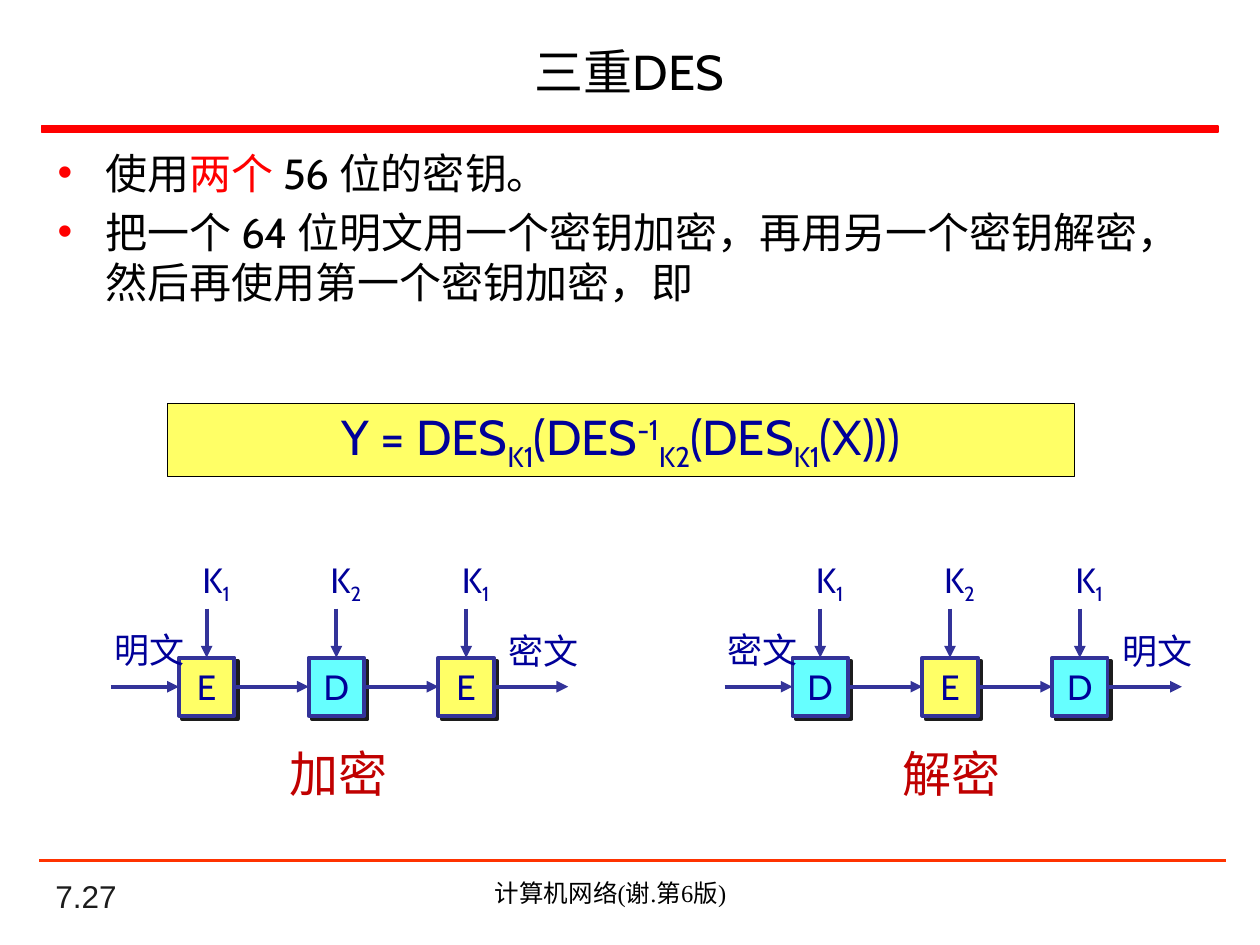
from dataclasses import dataclass
from typing import NamedTuple

from lxml.etree import SubElement
from pptx import Presentation
from pptx.dml.color import RGBColor
from pptx.enum.shapes import MSO_CONNECTOR as Conn, MSO_SHAPE as Shape
from pptx.enum.text import MSO_ANCHOR as Anchor, MSO_AUTO_SIZE as AutoSize, PP_ALIGN as Align
from pptx.oxml.ns import qn
from pptx.util import Inches, Pt

TOP, LEFT, BOTTOM, RIGHT = range(4)


@dataclass(frozen=True)
class Theme:
    font: str = "Cabin"
    number_font: str = "Arial"
    footer_font: str = "Times New Roman"
    black: str = "000000"
    dark: str = "1C1C1C"
    red: str = "FF0000"
    footer_rule: str = "FF3300"
    caption: str = "C00000"
    navy: str = "000099"
    line: str = "333399"
    yellow: str = "FFFF66"
    cyan: str = "66FFFF"
    large: int = 28
    body: int = 24
    label: int = 20
    number: int = 18
    footer: int = 14


T = Theme()


class Part(NamedTuple):
    text: str
    baseline: int = 0  # percent; negative is subscript
    color: str = ""


class Box(NamedTuple):
    x: float
    y: float
    w: float
    h: float

    def inches(self):
        return [Inches(v) for v in self]


@dataclass(frozen=True)
class Pipeline:
    x: float
    stages: str
    source: str
    result: str
    caption: str


KEYS = "121"
STAGE_W, STAGE_H, PITCH = 0.44, 0.46, 1.03
STAGE_Y, KEY_Y = 5.22, 4.83
STAGE_FILL = {"E": T.yellow, "D": T.cyan}
PIPELINES = [
    Pipeline(1.42, "EDE", "明文", "密文", "加密"),
    Pipeline(6.29, "DED", "密文", "明文", "解密"),
]


def rgb(value: str) -> RGBColor:
    return RGBColor.from_string(value)


def write(p, parts: list[Part], size: int, color: str, font: str = T.font) -> None:
    for part in parts:
        r = p.add_run()
        r.text = part.text
        r.font.name, r.font.size = font, Pt(size)
        r.font.color.rgb = rgb(part.color or color)
        if part.baseline:
            r.font._element.set("baseline", str(part.baseline * 1000))


def add_text(s, box: Box, parts: list[Part], size: int, color: str, font: str = T.font,
             align=Align.CENTER, anchor=Anchor.TOP, wrap: bool = True) -> None:
    tf = s.shapes.add_textbox(*box.inches()).text_frame
    tf.word_wrap = wrap
    tf.auto_size = AutoSize.NONE if wrap else AutoSize.SHAPE_TO_FIT_TEXT
    tf.vertical_anchor = anchor
    tf.paragraphs[0].alignment = align
    write(tf.paragraphs[0], parts, size, color, font)


def add_rect(s, box: Box, fill: str, line: str, width: float):
    sp = s.shapes.add_shape(Shape.RECTANGLE, *box.inches())
    sp.shadow.inherit = False
    sp.fill.solid()
    sp.fill.fore_color.rgb = rgb(fill)
    sp.line.color.rgb, sp.line.width = rgb(line), Pt(width)
    return sp


def add_rect_text(sp, parts: list[Part], size: int, wrap: bool = True) -> None:
    tf = sp.text_frame
    tf.word_wrap, tf.vertical_anchor = wrap, Anchor.MIDDLE
    tf.paragraphs[0].alignment = Align.CENTER
    write(tf.paragraphs[0], parts, size, T.navy)


def add_hard_shadow(sp) -> None:
    """Give the shape an unblurred shadow down and to the right."""
    effects = sp._element.spPr.find(qn("a:effectLst"))
    shadow = SubElement(effects, qn("a:outerShdw"), dist=str(Pt(2.8)), dir="2700000",
                        algn="ctr", rotWithShape="0")
    SubElement(shadow, qn("a:srgbClr"), val=T.dark)


def add_line(s, x1: float, y1: float, x2: float, y2: float, color: str, width: float):
    c = s.shapes.add_connector(Conn.STRAIGHT, *(Inches(v) for v in (x1, y1, x2, y2)))
    c.line.color.rgb, c.line.width = rgb(color), Pt(width)
    SubElement(c._element.spPr, qn("a:effectLst"))
    return c


def add_arrow(s, x1: float, y1: float, x2: float, y2: float, start=None, end=None) -> None:
    """Draw an arrow; start and end are optional (shape, side) joints."""
    c = add_line(s, x1, y1, x2, y2, T.line, 2.25)
    SubElement(c.line._get_or_add_ln(), qn("a:tailEnd"), type="triangle")
    if start:
        c.begin_connect(*start)
    if end:
        c.end_connect(*end)


def add_label(s, box: Box, parts: list[Part], size: int = T.label, color: str = T.navy) -> None:
    add_text(s, box, parts, size, color, wrap=False)


def add_pipeline(s, d: Pipeline) -> None:
    mid_y = STAGE_Y + STAGE_H / 2
    previous = None
    for i, (stage, key) in enumerate(zip(d.stages, KEYS)):
        x = d.x + i * PITCH
        mid_x = x + STAGE_W / 2
        sp = add_rect(s, Box(x, STAGE_Y, STAGE_W, STAGE_H), STAGE_FILL[stage], T.line, 2.25)
        add_hard_shadow(sp)
        add_rect_text(sp, [Part(stage)], T.label, wrap=False)
        in_x = x - PITCH + STAGE_W if previous else x - 0.54
        add_arrow(s, in_x, mid_y, x, mid_y, (previous, RIGHT) if previous else None, (sp, LEFT))
        add_arrow(s, mid_x, KEY_Y, mid_x, STAGE_Y, end=(sp, TOP))
        add_label(s, Box(mid_x - 0.16, 4.38, 0.47, 0.44), [Part("K"), Part(key, -25)])
        previous = sp
    out_x = d.x + 2 * PITCH + STAGE_W
    add_arrow(s, out_x, mid_y, out_x + 0.59, mid_y, (previous, RIGHT))
    add_label(s, Box(d.x - 0.62, 4.94, 0.77, 0.44), [Part(d.source)])
    add_label(s, Box(out_x + 0.01, 4.95, 0.77, 0.44), [Part(d.result)])
    add_label(s, Box(d.x + 0.77, 5.85, 0.99, 0.57), [Part(d.caption)], T.large, T.caption)


def add_bullets(s, box: Box, items: list[list[Part]]) -> None:
    tf = s.shapes.add_textbox(*box.inches()).text_frame
    tf.word_wrap = True
    for i, parts in enumerate(items):
        p = tf.add_paragraph() if i else tf.paragraphs[0]
        pPr = p._p.get_or_add_pPr()
        pPr.set("marL", str(Inches(0.38)))
        pPr.set("indent", str(-Inches(0.38)))
        if i:
            p.space_before = Pt(4.8)
        SubElement(SubElement(pPr, qn("a:buClr")), qn("a:srgbClr"), val=T.red)
        SubElement(pPr, qn("a:buFont"), typeface="Arial")
        SubElement(pPr, qn("a:buChar"), char="•")
        write(p, parts, T.body, T.black)


def main() -> None:
    prs = Presentation()
    prs.slide_width, prs.slide_height = Inches(10), Inches(7.5)
    s = prs.slides.add_slide(prs.slide_layouts[6])

    add_text(s, Box(0.34, 6.98, 2.08, 0.33), [Part("7.27")], T.number, T.dark,
             T.number_font, Align.LEFT, Anchor.BOTTOM)
    add_rect(s, Box(0.33, 1, 9.34, 0.05), T.red, T.red, 1)
    add_line(s, 0.31, 6.83, 9.73, 6.83, T.footer_rule, 1.5)
    add_text(s, Box(2.83, 6.92, 4.08, 0.34), [Part("计算机网络(谢.第6版) ")], T.footer, T.black,
             T.footer_font)
    add_text(s, Box(0.39, 0.22, 9.21, 0.69), [Part("三重DES")], T.large, T.black,
             anchor=Anchor.MIDDLE)
    add_bullets(s, Box(0.36, 1.12, 9.28, 5.63), [
        [Part("使用"), Part("两个 ", color=T.red), Part("56 位的密钥。")],
        [Part("把一个 64 位明文用一个密钥加密，再用另一个密钥解密，然后再使用第一个密钥加密，即")],
    ])
    for pipeline in PIPELINES:
        add_pipeline(s, pipeline)

    formula = add_rect(s, Box(1.33, 3.2, 7.2, 0.58), T.yellow, T.black, 0.75)
    add_rect_text(formula, [
        Part("Y = DES"), Part("K1", -25), Part("(DES"), Part("-1", 30), Part("K2", -25),
        Part("(DES"), Part("K1", -25), Part("(X)))"),
    ], T.large)
    prs.save("out.pptx")


if __name__ == "__main__":
    main()
